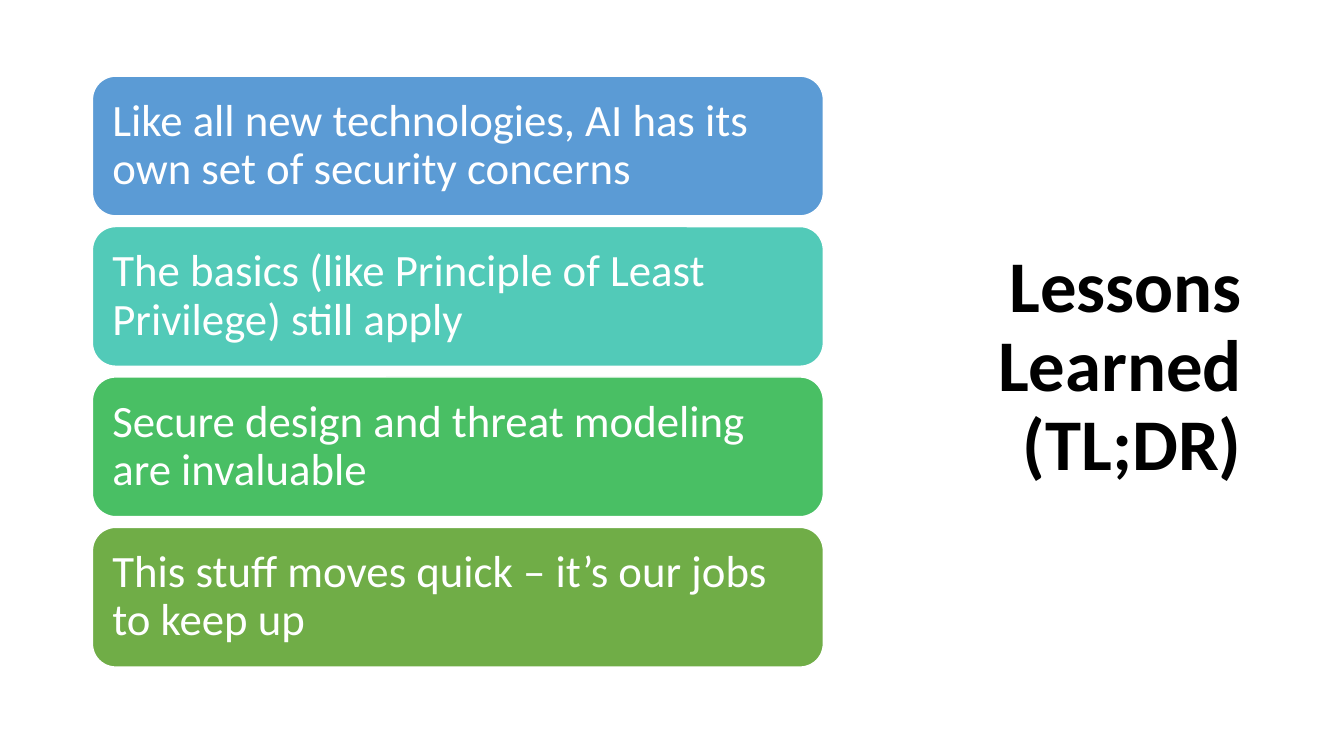
from pptx import Presentation
from pptx import util as u
from pptx.dml.color import RGBColor
from pptx.enum import shapes, text


def rgb(value):
    return RGBColor.from_string(value)


def style_text(tf, size, color, align, bold=False):
    tf.word_wrap = True
    tf.auto_size = text.MSO_AUTO_SIZE.NONE
    tf.vertical_anchor = text.MSO_ANCHOR.MIDDLE
    p = tf.paragraphs[0]
    p.alignment = align
    p.line_spacing = 0.9
    font = p.runs[0].font
    font.name = "Calibri"
    font.size = u.Pt(size)
    font.bold = bold
    font.color.rgb = rgb(color)


prs = Presentation()
prs.slide_width, prs.slide_height = u.Cm(33.87), u.Cm(19.05)
s = prs.slides.add_slide(prs.slide_layouts[5])

title = s.shapes.title
title.left, title.top = u.Cm(22.28), u.Cm(1.52)
title.width, title.height = u.Cm(9.27), u.Cm(15.5)
title.text_frame.text = "Lessons Learned (TL;DR)"
style_text(title.text_frame, 52, "000000", text.PP_ALIGN.RIGHT, bold=True)

lessons = [
    ("Like all new technologies, AI has its own set of security concerns", "5B9BD5"),
    ("The basics (like Principle of Least Privilege) still apply", "52CAB8"),
    ("Secure design and threat modeling are invaluable", "49BF64"),
    ("This stuff moves quick – it’s our jobs to keep up", "70AD47"),
]
card_top, card_height, gap = 1.92, 3.52, 0.27

for i, (lesson, color) in enumerate(lessons):
    top = card_top + i * (card_height + gap)
    sp = s.shapes.add_shape(shapes.MSO_SHAPE.ROUNDED_RECTANGLE,
                            u.Cm(2.33), u.Cm(top), u.Cm(18.42), u.Cm(card_height))
    sp.shadow.inherit = False
    sp.fill.solid()
    sp.fill.fore_color.rgb = rgb(color)
    sp.line.color.rgb = rgb("FFFFFF")
    sp.line.width = u.Pt(1)
    tf = sp.text_frame
    tf.margin_left = tf.margin_right = tf.margin_top = tf.margin_bottom = u.Cm(0.33)
    tf.text = lesson
    style_text(tf, 32, "FFFFFF", text.PP_ALIGN.LEFT)

prs.save("out.pptx")
